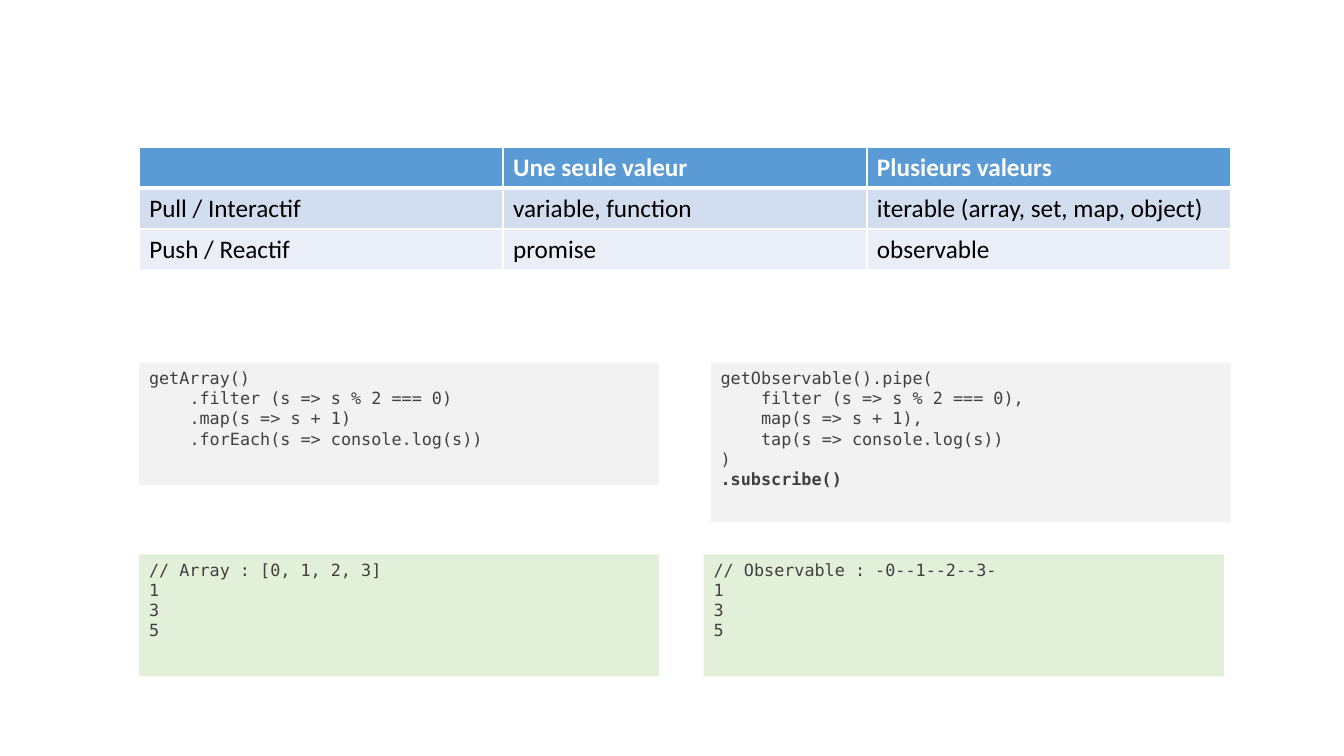
from lxml import etree
from pptx import Presentation
from pptx.dml.color import RGBColor
from pptx.enum.shapes import MSO_SHAPE
from pptx.enum.text import MSO_ANCHOR, PP_ALIGN
from pptx.oxml.ns import qn
from pptx.util import Pt

RECT = MSO_SHAPE.RECTANGLE
TOP = MSO_ANCHOR.TOP
LEFT = PP_ALIGN.LEFT

COLORS = {
    "head": "5B9BD5", "odd": "D2DEEF", "even": "EAEFF7",
    "code": "F2F2F2", "result": "E2F0D9",
    "ink": "404040", "white": "FFFFFF", "black": "000000",
}
INDENT = 28.9  # four characters of 12 pt code

ROWS = [
    ["", "Une seule valeur", "Plusieurs valeurs"],
    ["Pull / Interactif", "variable, function", "iterable (array, set, map, object)"],
    ["Push / Reactif", "promise", "observable"],
]

# Each line of code: text, indent level, bold
ARRAY = [
    ("getArray()", 0, False),
    (".filter (s => s % 2 === 0)", 1, False),
    (".map(s => s + 1)", 1, False),
    (".forEach(s => console.log(s))", 1, False),
]
STREAM = [
    ("getObservable().pipe(", 0, False),
    ("filter (s => s % 2 === 0),", 1, False),
    ("map(s => s + 1),", 1, False),
    ("tap(s => console.log(s))", 1, False),
    (")", 0, False),
    (".subscribe()", 0, True),
]
OUTPUT = [(num, 0, False) for num in ("1", "3", "5")]


def color(name):
    return RGBColor.from_string(COLORS[name])


def set_font(par, face, size, ink, bold):
    par.font.name = face
    par.font.size = Pt(size)
    par.font.bold = bold
    par.font.color.rgb = color(ink)


def add_edges(cell, is_head):
    """Draw white cell borders, thicker below the header."""
    props = cell._tc.get_or_add_tcPr()
    thick = {"lnB": 3} if is_head else {}
    for i, side in enumerate(("lnL", "lnR", "lnT", "lnB")):
        line = etree.Element(qn("a:" + side), w=str(Pt(thick.get(side, 1))))
        fill = etree.SubElement(line, qn("a:solidFill"))
        etree.SubElement(fill, qn("a:srgbClr"), val=COLORS["white"])
        props.insert(i, line)


def add_grid(slide, x, y, w, h):
    """Compare pull and push in a table."""
    frame = slide.shapes.add_table(
        len(ROWS), len(ROWS[0]), Pt(x), Pt(y), Pt(w), Pt(h))
    table = frame.table
    for col in table.columns:
        col.width = Pt(w / len(ROWS[0]))
    fills = ("head", "odd", "even")
    for r, row in enumerate(ROWS):
        table.rows[r].height = Pt(h / len(ROWS))
        is_head = r == 0
        for c, text in enumerate(row):
            cell = table.cell(r, c)
            cell.text = text
            cell.fill.solid()
            cell.fill.fore_color.rgb = color(fills[r])
            set_font(cell.text_frame.paragraphs[0], "Calibri", 18,
                     "white" if is_head else "black", is_head)
            add_edges(cell, is_head)


def add_code(slide, lines, fill, x, y, w, h):
    box = slide.shapes.add_shape(RECT, Pt(x), Pt(y), Pt(w), Pt(h))
    box.shadow.inherit = False
    box.fill.solid()
    box.fill.fore_color.rgb = color(fill)
    box.line.fill.background()
    frame = box.text_frame
    frame.word_wrap = True
    frame.vertical_anchor = TOP
    for i, (text, level, bold) in enumerate(lines):
        par = frame.add_paragraph() if i else frame.paragraphs[0]
        par.text = text
        par.alignment = LEFT
        set_font(par, "DejaVu Sans Mono", 12, "ink", bold)
        if level:
            par._p.get_or_add_pPr().set("marL", str(Pt(level * INDENT)))


def build(slide, x, y, w):
    """Place the table, then code above its results in two columns."""
    add_grid(slide, x, y, w, 87.8)
    wide, tall = 371.5, 87.1
    code_y, result_y = y + 154.1, y + 290.9
    right = x + w - wide
    add_code(slide, ARRAY, "code", x, code_y, wide, tall)
    add_code(slide, STREAM, "code", right, code_y, wide, 113.8)
    add_code(slide, [("// Array : [0, 1, 2, 3]", 0, False)] + OUTPUT,
             "result", x, result_y, wide, tall)
    add_code(slide, [("// Observable : -0--1--2--3-", 0, False)] + OUTPUT,
             "result", right - 5, result_y, wide, tall)


def main():
    deck = Presentation()
    deck.slide_width, deck.slide_height = Pt(960), Pt(540)
    slide = deck.slides.add_slide(deck.slide_layouts[6])
    build(slide, 99.4, 105.1, 779.8)
    deck.save("out.pptx")


if __name__ == "__main__":
    main()
